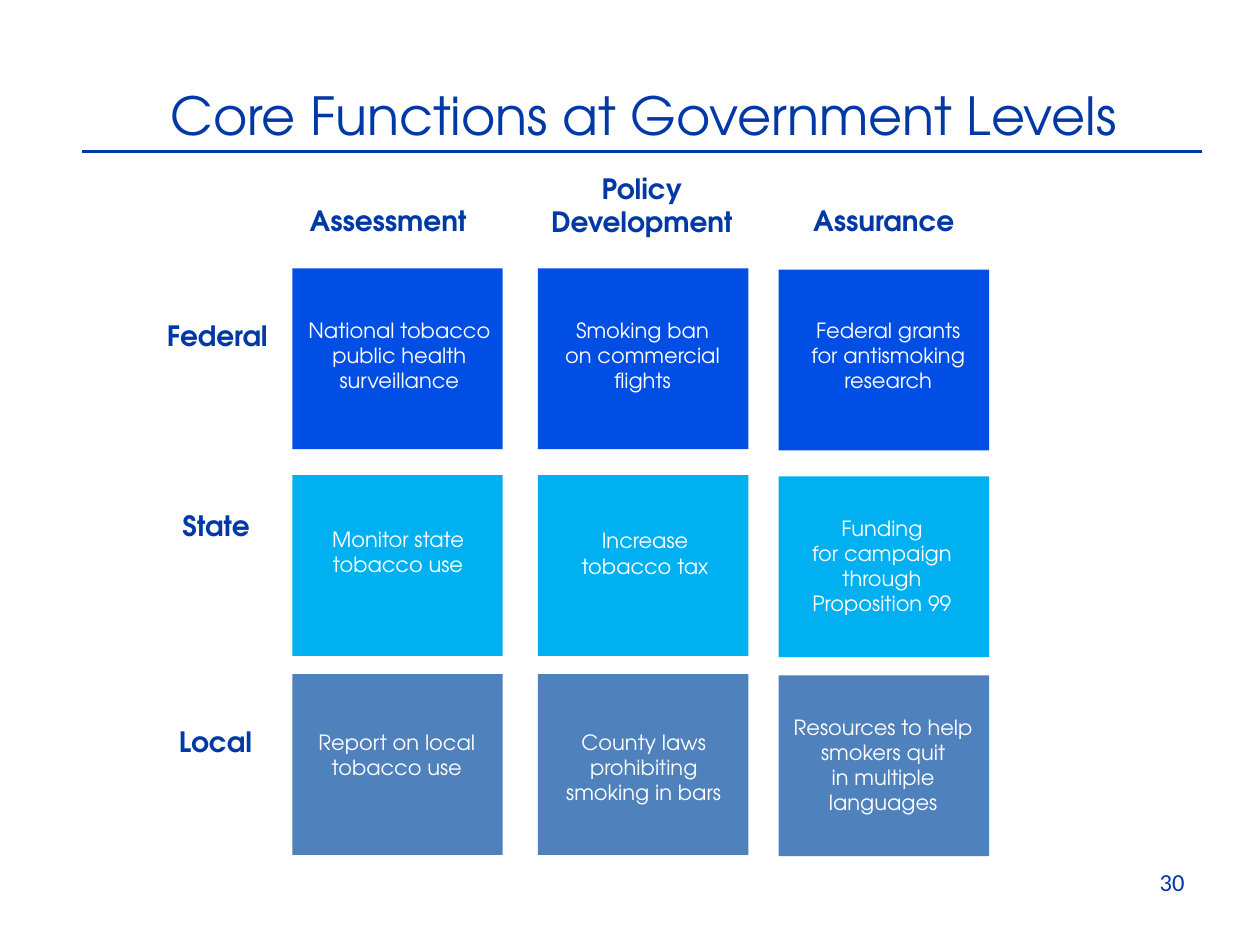
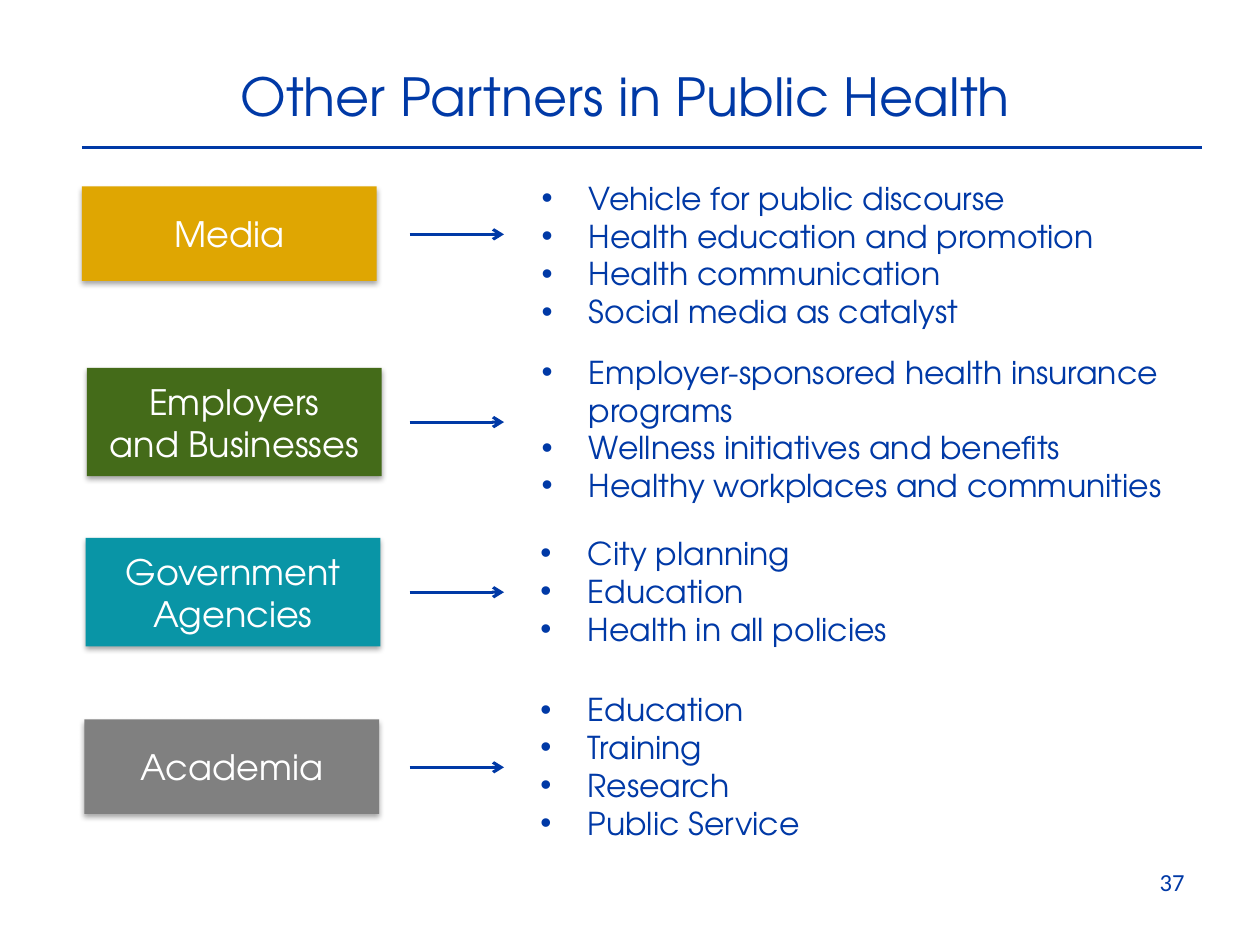
from dataclasses import dataclass
from typing import NamedTuple

from lxml.etree import SubElement
from pptx import Presentation
from pptx.dml.color import RGBColor
from pptx.enum.shapes import MSO_CONNECTOR, MSO_SHAPE
from pptx.enum.text import MSO_ANCHOR, MSO_AUTO_SIZE, PP_ALIGN
from pptx.oxml.ns import qn
from pptx.util import Emu, Inches, Pt

WIDTH, HEIGHT = Inches(10), Inches(7.5)
COLS, ROWS = 100, 75
BLUE, WHITE, BLACK = "0039A6", "FFFFFF", "000000"
FACE = "TeX Gyre Adventor"


class Box(NamedTuple):
    left: float
    top: float
    wide: float
    high: float


@dataclass(frozen=True)
class Style:
    size: int
    ink: str = BLUE
    face: str = FACE
    bold: bool = False
    align: PP_ALIGN = PP_ALIGN.CENTER


@dataclass(frozen=True)
class Label:
    box: Box
    text: str


@dataclass(frozen=True)
class Cell:
    left: float
    top: float
    lines: int
    text: str


@dataclass(frozen=True)
class Level:
    fill: str
    top: float
    cells: tuple[Cell, ...]


@dataclass(frozen=True)
class Partner:
    name: str
    fill: str
    box: Box
    arrow: float
    list_box: Box
    points: str


TITLE = Style(30)
HEAD = Style(16, bold=True)
NOTE = Style(12, WHITE)
NAME = Style(20, WHITE)
POINT = Style(18, align=PP_ALIGN.LEFT)
PAGE = Style(14, face="Calibri", align=PP_ALIGN.RIGHT)

TILE_COLS = (23.2, 42.7, 61.8)
TILE_DROPS = (0, 0, 0.1)
TILE_WIDE, TILE_HIGH = 16.7, 14.35

HEADS = (
    Label(Box(22.4, 15.7, 16.8, 3.7), "Assessment"),
    Label(Box(41.1, 13.1, 19.7, 6.4), "Policy\nDevelopment"),
    Label(Box(61.8, 15.7, 16.7, 3.7), "Assurance"),
    Label(Box(10.8, 24.8, 12.9, 3.7), "Federal"),
    Label(Box(11, 39.9, 12.3, 3.7), "State"),
    Label(Box(10.8, 57, 12.6, 3.7), "Local"),
)

LEVELS = (
    Level("004EE3", 21.3, (
        Cell(22.9, 24.7, 3, "National tobacco public health\nsurveillance"),
        Cell(42.2, 24.7, 3, "Smoking ban\von commercial flights"),
        Cell(61.7, 24.7, 3, "Federal grants\vfor antismoking\nresearch"),
    )),
    Level("00B0F0", 37.7, (
        Cell(22.8, 41.3, 2, "Monitor state\ntobacco use"),
        Cell(42.4, 41.4, 2, "Increase\ntobacco tax"),
        Cell(61.2, 40.4, 4, "Funding\vfor campaign through\nProposition 99"),
    )),
    Level("4F81BD", 53.5, (
        Cell(22.7, 57.4, 2, "Report on local\ntobacco use"),
        Cell(42.3, 57.4, 3, "County laws\nprohibiting\nsmoking in bars"),
        Cell(61.3, 56.2, 4,
             "Resources to help\nsmokers quit\vin multiple languages"),
    )),
)

PARTNERS = (
    Partner("Media", "DFA602", Box(6.5, 14.8, 23.4, 7.5), 18.6,
            Box(42, 13.7, 48.3, 13.1),
            "Vehicle for public discourse\nHealth education and promotion\n"
            "Health communication\nSocial media as catalyst"),
    Partner("Employers\vand Businesses", "446B19",
            Box(6.9, 29.2, 23.4, 8.6), 33.5, Box(42, 27.5, 52.9, 13.1),
            "Employer-sponsored health insurance programs\n"
            "Wellness initiatives and benefits\n"
            "Healthy workplaces and communities"),
    Partner("Government Agencies", "0995A6",
            Box(6.8, 42.7, 23.4, 8.6), 47, Box(41.9, 41.9, 31.4, 10.1),
            "City planning\nEducation\nHealth in all policies"),
    Partner("Academia", "808080", Box(6.7, 57.1, 23.4, 7.5), 60.9,
            Box(41.9, 54.3, 26.5, 13.1),
            "Education\nTraining\nResearch\nPublic Service"),
)


def col(count: float) -> Emu:
    return Emu(round(WIDTH * count / COLS))


def row(count: float) -> Emu:
    return Emu(round(HEIGHT * count / ROWS))


def place(box: Box) -> tuple[Emu, Emu, Emu, Emu]:
    return col(box.left), row(box.top), col(box.wide), row(box.high)


def paint(target, tone: str) -> None:
    target.rgb = RGBColor.from_string(tone)


def add_dot(para) -> None:
    props = para._p.get_or_add_pPr()
    props.set("marL", str(col(3.75)))
    props.set("indent", str(-col(3.75)))
    tint = SubElement(props, qn("a:buClr"))
    SubElement(tint, qn("a:srgbClr"), val=BLUE)
    SubElement(props, qn("a:buFont"), typeface="Arial")
    SubElement(props, qn("a:buChar"), char="•")


def write(frame, text: str, style: Style, dots: bool = False) -> None:
    frame.word_wrap = True
    for index, words in enumerate(text.split("\n")):
        para = frame.add_paragraph() if index else frame.paragraphs[0]
        para.alignment = style.align
        if dots:
            add_dot(para)
        for turn, part in enumerate(words.split("\v")):
            if turn:
                para.add_line_break()
            run = para.add_run()
            run.text = part
            font = run.font
            font.name, font.size, font.bold = style.face, Pt(style.size), style.bold
            paint(font.color, style.ink)


def add_text(slide, box: Box, text: str, style: Style, dots: bool = False) -> None:
    frame = slide.shapes.add_textbox(*place(box)).text_frame
    write(frame, text, style, dots)
    frame.auto_size = MSO_AUTO_SIZE.SHAPE_TO_FIT_TEXT


def add_tile(slide, box: Box, fill: str):
    tile = slide.shapes.add_shape(MSO_SHAPE.RECTANGLE, *place(box))
    tile.shadow.inherit = False
    tile.fill.solid()
    paint(tile.fill.fore_color, fill)
    tile.line.fill.background()
    return tile


def add_shade(tile) -> None:
    effects = tile._element.spPr.find(qn("a:effectLst"))
    shade = SubElement(effects, qn("a:outerShdw"), blurRad=str(Pt(3.1)),
                       dist=str(Pt(1.8)), dir="5400000", rotWithShape="0")
    tone = SubElement(shade, qn("a:srgbClr"), val=BLACK)
    SubElement(tone, qn("a:alpha"), val="35000")


def add_line(slide, start: float, end: float, top: float, arrow: bool = False) -> None:
    line = slide.shapes.add_connector(
        MSO_CONNECTOR.STRAIGHT, col(start), row(top), col(end), row(top))
    line.line.width = Pt(1.75)
    paint(line.line.color, BLUE)
    if arrow:
        SubElement(line.line._get_or_add_ln(), qn("a:tailEnd"), type="arrow")
    SubElement(line._element.spPr, qn("a:effectLst"))


def add_slide(deck, title: str, box: Box, rule: float, page: str):
    slide = deck.slides.add_slide(deck.slide_layouts[6])
    add_text(slide, box, title, TITLE)
    add_line(slide, 6.5, 95.4, rule)
    add_text(slide, Box(71.7, 68.3, 23.3, 5.2), page, PAGE)
    return slide


def draw_levels(deck) -> None:
    slide = add_slide(deck, "Core Functions at Government Levels",
                      Box(5.4, 6.1, 91.4, 6.1), 12, "30")
    for head in HEADS:
        add_text(slide, head.box, head.text, HEAD)
    for level in LEVELS:
        for left, drop, cell in zip(TILE_COLS, TILE_DROPS, level.cells):
            add_tile(slide, Box(left, level.top + drop, TILE_WIDE, TILE_HIGH),
                     level.fill)
            high = 0.95 + 2.05 * cell.lines
            add_text(slide, Box(cell.left, cell.top, 17.6, high), cell.text, NOTE)


def draw_partners(deck) -> None:
    slide = add_slide(deck, "Other Partners in Public Health",
                      Box(5.2, 4.6, 88.9, 6.1), 11.7, "37")
    for partner in PARTNERS:
        tile = add_tile(slide, partner.box, partner.fill)
        add_shade(tile)
        write(tile.text_frame, partner.name, NAME)
        tile.text_frame.vertical_anchor = MSO_ANCHOR.MIDDLE
        add_line(slide, 32.5, 40, partner.arrow, arrow=True)
        add_text(slide, partner.list_box, partner.points, POINT, dots=True)


def main() -> None:
    deck = Presentation()
    deck.slide_width, deck.slide_height = WIDTH, HEIGHT
    draw_levels(deck)
    draw_partners(deck)
    deck.save("out.pptx")


if __name__ == "__main__":
    main()
